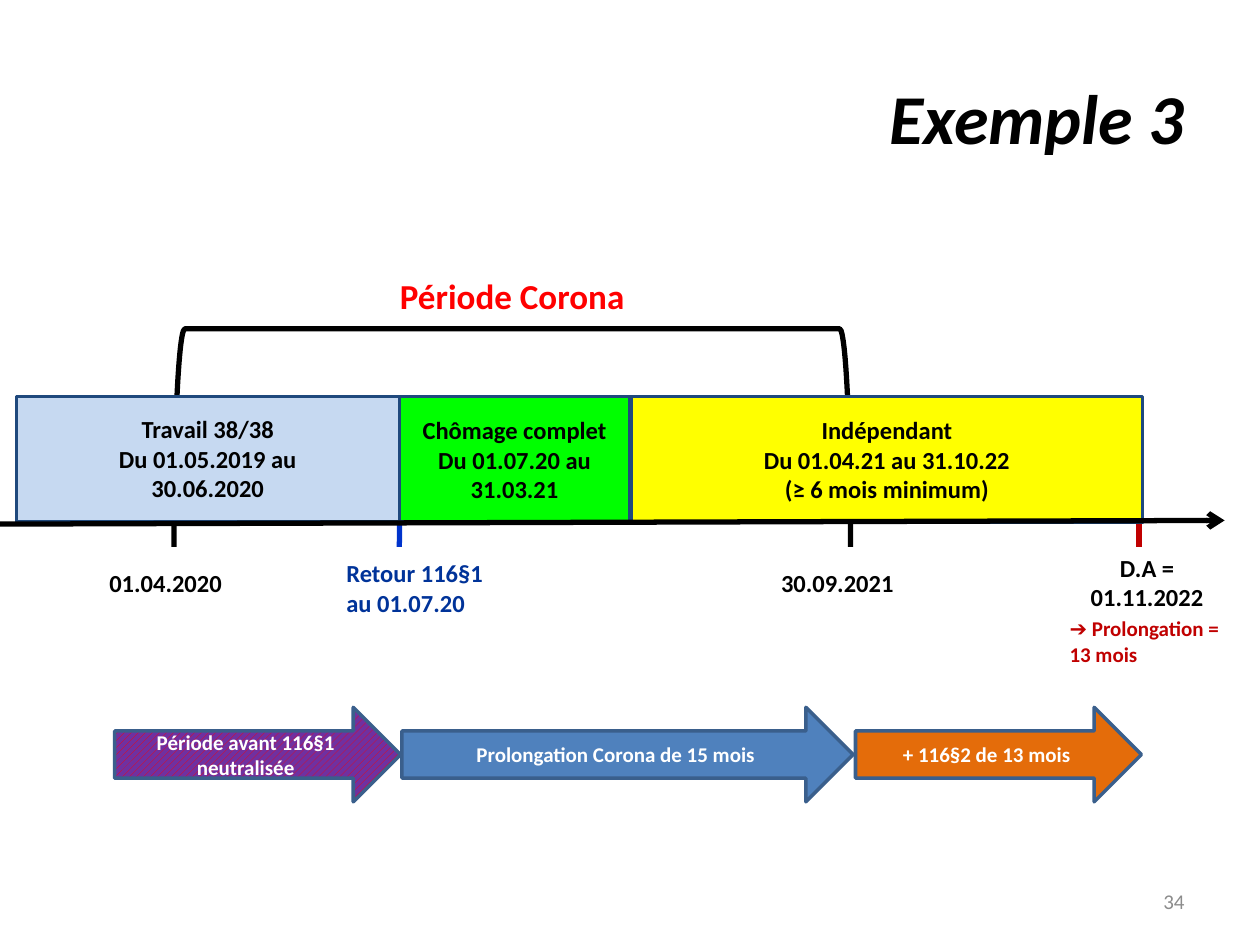
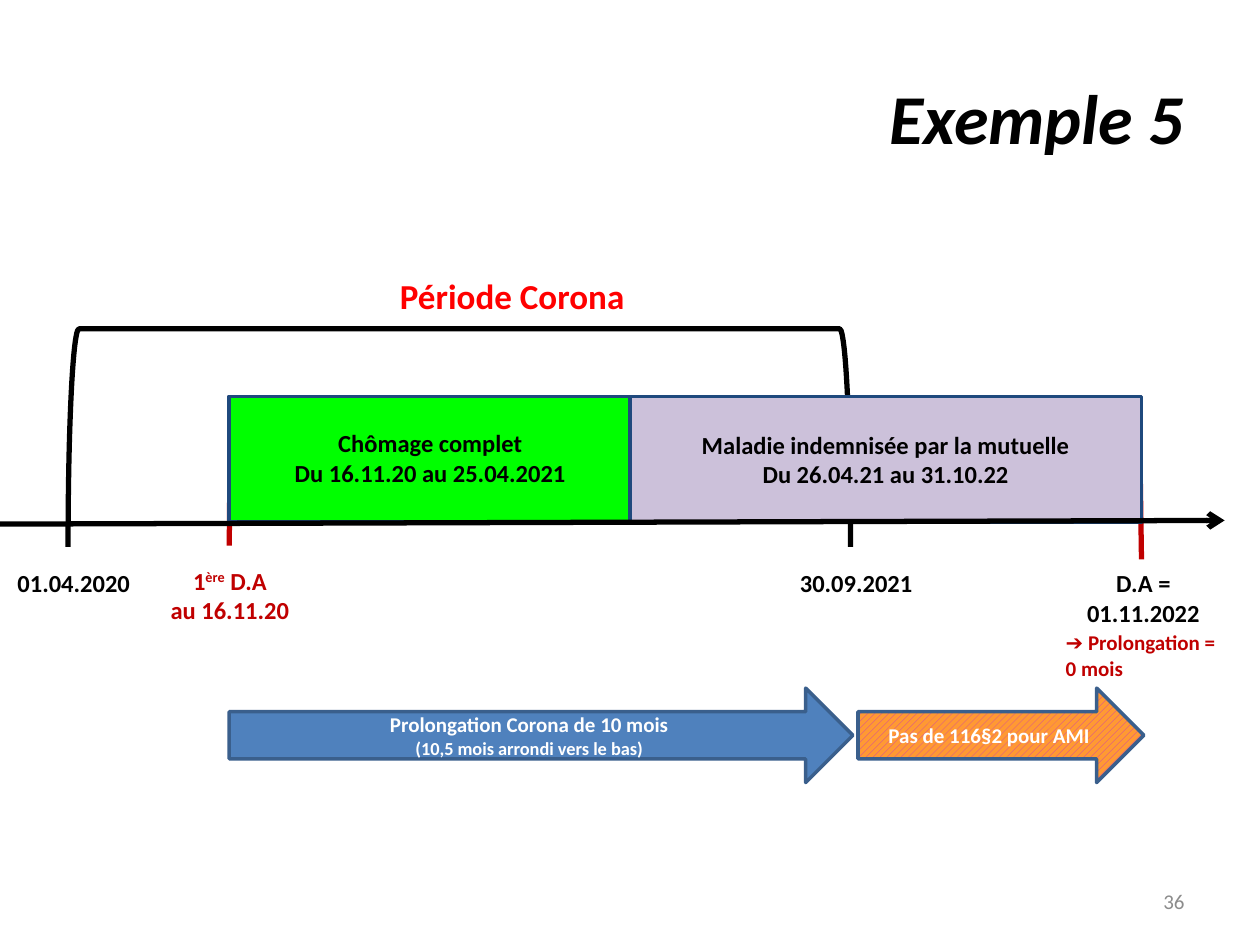
from dataclasses import dataclass

from lxml import etree
from pptx import Presentation
from pptx.dml.color import RGBColor
from pptx.enum.dml import MSO_PATTERN
from pptx.enum.shapes import MSO_CONNECTOR, MSO_SHAPE
from pptx.enum.text import MSO_ANCHOR, PP_ALIGN
from pptx.oxml.ns import qn
from pptx.util import Pt

LEFT, CENTER, RIGHT = PP_ALIGN.LEFT, PP_ALIGN.CENTER, PP_ALIGN.RIGHT
TOP, MIDDLE = MSO_ANCHOR.TOP, MSO_ANCHOR.MIDDLE
RECTANGLE, BRACKET, ARROW = MSO_SHAPE.RECTANGLE, MSO_SHAPE.LEFT_BRACKET, MSO_SHAPE.RIGHT_ARROW
STRAIGHT = MSO_CONNECTOR.STRAIGHT
WIDE_DIAGONAL = MSO_PATTERN.WIDE_UPWARD_DIAGONAL

FONT = "Calibri"
BLACK, WHITE, GREY = "000000", "FFFFFF", "8C8C8C"
BRIGHT_RED, DARK_RED = "FF0000", "C00000"
TICK_BLUE, TEXT_BLUE = "0033CC", "003399"
GREEN, YELLOW, PALE_BLUE, LILAC = "00FF00", "FFFF00", "C6D9F1", "CCC1DA"
ARROW_BLUE, ORANGE, LIGHT_ORANGE, PURPLE, MAGENTA = "4F81BD", "E46C0A", "FF9933", "7030A0", "CA36B8"
PERIOD_LINE, ARROW_LINE = "1F497D", "3A5F8C"

TITLE_BOX = (36, 21.6, 648, 90)
NUMBER_BOX = (516.2, 500.4, 167.8, 28.8)
CORONA_LABEL_BOX = (200.2, 153.4, 185, 31.7)
CORONA_TOP, CORONA_RIGHT, CORONA_HEIGHT = 187.9, 486, 124.6
PERIOD_TOP, PERIOD_HEIGHT = 226.5, 72
MILESTONE_TOP = 312.5
ARROW_HEIGHT = 54


@dataclass
class Period:
    left: float
    width: float
    fill: str
    lines: tuple
    caption_box: tuple = None


@dataclass
class Milestone:
    box: tuple
    lines: tuple
    color: str = BLACK
    size: float = 14
    align: int = CENTER


@dataclass
class Extension:
    left: float
    width: float
    lines: tuple
    fill: str
    stripes: str = None


@dataclass
class Example:
    title: str
    number: str
    corona_left: float
    ticks: tuple
    periods: tuple
    milestones: tuple
    extensions_top: float
    extensions: tuple


def rgb(value):
    return RGBColor.from_string(value)


def points(values):
    return [Pt(value) for value in values]


def style_font(font, size, color, bold=True, italic=False):
    font.name, font.size, font.bold, font.italic = FONT, Pt(size), bold, italic
    font.color.rgb = rgb(color)


def write(shape, lines, size, color, align=CENTER, anchor=TOP, bold=True, italic=False):
    frame = shape.text_frame
    frame.word_wrap = True
    frame.vertical_anchor = anchor
    for index, line in enumerate(lines):
        paragraph = frame.add_paragraph() if index else frame.paragraphs[0]
        paragraph.alignment = align
        parts = (line,) if isinstance(line, str) else line
        for position, part in enumerate(parts):
            run = paragraph.add_run()
            run.text = part
            if position == 1:
                run._r.get_or_add_rPr().set("baseline", "30000")
        style_font(paragraph.font, size, color, bold, italic)


def add_text(slide, box, lines, size, color, **options):
    shape = slide.shapes.add_textbox(*points(box))
    write(shape, lines, size, color, **options)


def add_outlined(slide, kind, box, line_color, line_width=2):
    shape = slide.shapes.add_shape(kind, *points(box))
    shape.shadow.inherit = False
    shape.line.color.rgb = rgb(line_color)
    shape.line.width = Pt(line_width)
    return shape


def fill_solid(shape, color):
    shape.fill.solid()
    shape.fill.fore_color.rgb = rgb(color)


def add_line(slide, ends, color, arrowhead=False):
    connector = slide.shapes.add_connector(STRAIGHT, *points(ends))
    connector.line.color.rgb = rgb(color)
    connector.line.width = Pt(3)
    if arrowhead:
        etree.SubElement(connector.line._get_or_add_ln(), qn("a:tailEnd"), type="arrow")
    etree.SubElement(connector._element.spPr, qn("a:effectLst"))


def add_heading(slide, title, number):
    placeholder = slide.shapes.title
    placeholder.left, placeholder.top, placeholder.width, placeholder.height = points(TITLE_BOX)
    write(placeholder, (title,), 40, BLACK, align=RIGHT, anchor=MIDDLE, italic=True)
    add_text(slide, NUMBER_BOX, (number,), 12, GREY, align=RIGHT, anchor=MIDDLE, bold=False)


def add_corona_bracket(slide, left, top, width, height):
    turned_box = (left + (width - height) / 2, top + (height - width) / 2, height, width)
    bracket = add_outlined(slide, BRACKET, turned_box, BLACK, 3)
    bracket.rotation = 90
    bracket.adjustments[0] = 0.05
    bracket.fill.background()


def add_periods(slide, periods, top, height):
    for period in periods:
        shape = add_outlined(slide, RECTANGLE, (period.left, top, period.width, height), PERIOD_LINE)
        fill_solid(shape, period.fill)
        if not period.caption_box:
            write(shape, period.lines, 14, BLACK, anchor=MIDDLE)


def add_captions(slide, periods, top):
    for period in periods:
        if period.caption_box:
            left, offset, width, height = period.caption_box
            add_text(slide, (left, top + offset, width, height), period.lines, 14, BLACK)


def add_milestones(slide, milestones, top):
    for milestone in milestones:
        left, offset, width, height = milestone.box
        add_text(slide, (left, top + offset, width, height), milestone.lines,
                 milestone.size, milestone.color, align=milestone.align)


def add_extensions(slide, extensions, top, height):
    for extension in extensions:
        shape = add_outlined(slide, ARROW, (extension.left, top, extension.width, height), ARROW_LINE)
        if extension.stripes:
            shape.fill.patterned()
            shape.fill.pattern = WIDE_DIAGONAL
            shape.fill.fore_color.rgb = rgb(extension.stripes)
            shape.fill.back_color.rgb = rgb(extension.fill)
        else:
            fill_solid(shape, extension.fill)
        write(shape, extension.lines, 12, WHITE, anchor=MIDDLE)
        for note in shape.text_frame.paragraphs[1:]:
            note.font.size = Pt(10.5)


def add_example(presentation, example):
    slide = presentation.slides.add_slide(presentation.slide_layouts[5])
    for ends, color in example.ticks:
        add_line(slide, ends, color)
    add_corona_bracket(slide, example.corona_left, CORONA_TOP,
                       CORONA_RIGHT - example.corona_left, CORONA_HEIGHT)
    add_periods(slide, example.periods, PERIOD_TOP, PERIOD_HEIGHT)
    add_heading(slide, example.title, example.number)
    add_line(slide, (0, 299.5, 699.8, 297.4), BLACK, arrowhead=True)
    add_text(slide, CORONA_LABEL_BOX, ("Période Corona",), 20, BRIGHT_RED)
    add_captions(slide, example.periods, PERIOD_TOP)
    add_milestones(slide, example.milestones, MILESTONE_TOP)
    add_extensions(slide, example.extensions, example.extensions_top, ARROW_HEIGHT)


EXAMPLES = (
    Example(
        "Exemple 3", "34", 99.4,
        ticks=(((650.9, 226, 650.9, 312.5), DARK_RED),
               ((229, 226.8, 228.2, 312.5), TICK_BLUE)),
        periods=(
            Period(228.2, 131.8, GREEN, ("Chômage complet", "Du 01.07.20 au 31.03.21")),
            Period(360.7, 292.3, YELLOW,
                   ("Indépendant", "Du 01.04.21 au 31.10.22", "(≥ 6 mois minimum)")),
            Period(9.4, 218.9, PALE_BLUE, ("Travail 38/38", "Du 01.05.2019 au 30.06.2020"),
                   (55.4, 6.8, 126.7, 58.3)),
        ),
        milestones=(
            Milestone((55.4, 8.6, 80, 24.5), ("01.04.2020",), align=LEFT),
            Milestone((439.2, 8.6, 82.8, 24.5), ("30.09.2021",), align=LEFT),
            Milestone((605.5, 0, 100, 41), ("D.A = 01.11.2022",)),
            Milestone((604.1, 36, 100, 36), ("➔ Prolongation = 13 mois",), DARK_RED, 12, LEFT),
            Milestone((190.8, 2.9, 97.2, 41), ("Retour 116§1 au 01.07.20",), TEXT_BLUE, align=LEFT),
        ),
        extensions_top=404.2,
        extensions=(
            Extension(229.7, 257.8, ("Prolongation Corona de 15 mois",), ARROW_BLUE),
            Extension(488.9, 163.4, ("+ 116§2 de 13 mois",), ORANGE),
            Extension(65.5, 163.4, ("Période avant 116§1 neutralisée",), PURPLE, BRIGHT_RED),
        ),
    ),
    Example(
        "Exemple 5", "36", 38.9,
        ticks=(((131.8, 226, 131, 311.8), DARK_RED),
               ((650.9, 226, 652.3, 319.7), DARK_RED)),
        periods=(
            Period(131, 350.6, GREEN, ("Chômage complet", "Du 16.11.20 au 25.04.2021"),
                   (160.6, 14.7, 170.6, 41)),
            Period(360, 292.3, LILAC,
                   ("Maladie indemnisée par la mutuelle", "Du 26.04.21 au 31.10.22")),
        ),
        milestones=(
            Milestone((2.9, 8.6, 80, 24.5), ("01.04.2020",), align=LEFT),
            Milestone((450, 8.6, 80, 24.5), ("30.09.2021",), align=LEFT),
            Milestone((603.4, 8.6, 100, 41), ("D.A = 01.11.2022",)),
            Milestone((601.9, 43.9, 100, 36), ("➔ Prolongation = 0 mois",), DARK_RED, 12, LEFT),
            Milestone((82.8, 7.2, 97.2, 41), (("1", "ère", " D.A"), "au 16.11.20"), DARK_RED),
        ),
        extensions_top=393.2,
        extensions=(
            Extension(131, 356.4, ("Prolongation Corona de 10 mois",
                                   "(10,5 mois arrondi vers le bas)"), ARROW_BLUE),
            Extension(490.3, 163.4, ("Pas de 116§2 pour AMI",), LIGHT_ORANGE, MAGENTA),
        ),
    ),
)


def main():
    presentation = Presentation()
    presentation.slide_width, presentation.slide_height = Pt(720), Pt(540)
    for example in EXAMPLES:
        add_example(presentation, example)
    presentation.save("out.pptx")


if __name__ == "__main__":
    main()
